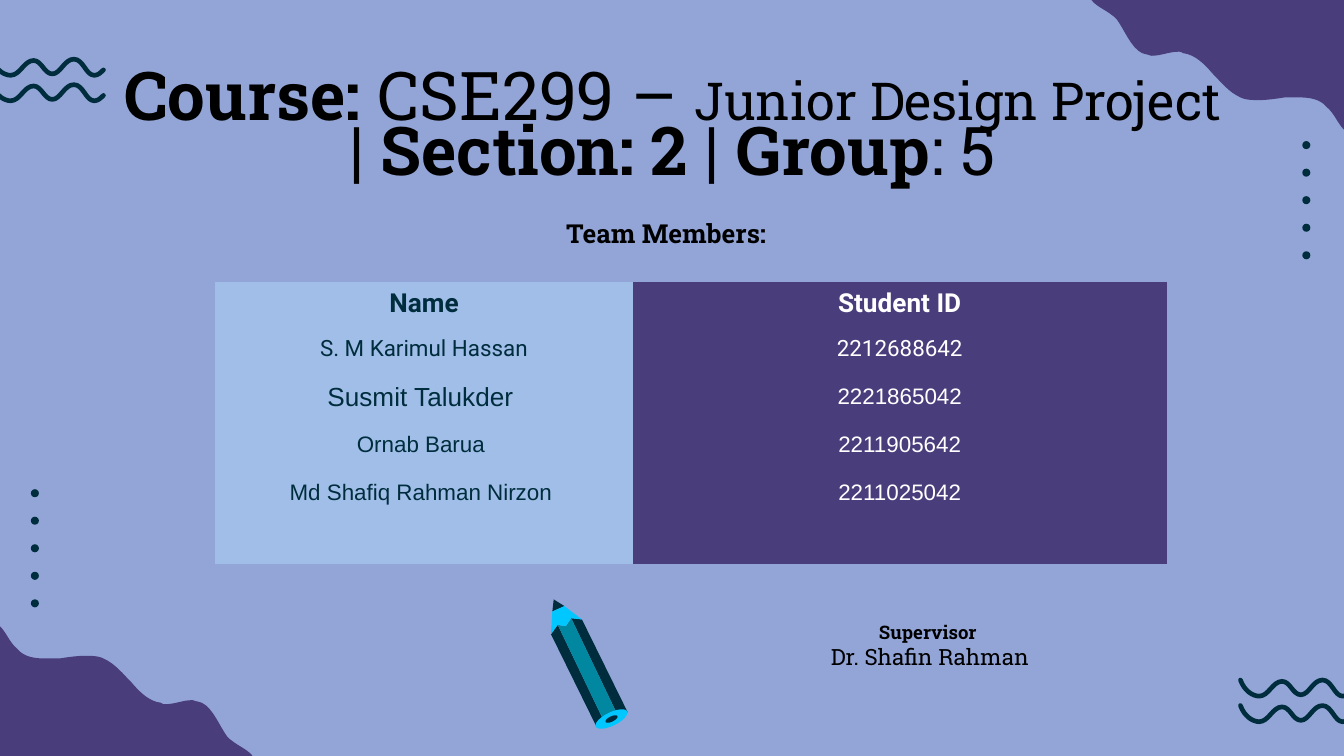
from lxml.etree import SubElement
from pptx import Presentation
from pptx.dml.color import RGBColor
from pptx.enum.shapes import MSO_SHAPE
from pptx.enum.text import MSO_ANCHOR, MSO_AUTO_SIZE, PP_ALIGN
from pptx.oxml.ns import qn
from pptx.util import Inches, Pt

COLORS = {"back": "93A5D6", "plum": "4A3D7C", "navy": "002D3D", "sky": "A0BEE7",
          "teal": "0187A0", "cyan": "00C7FF", "black": "000000", "white": "FFFFFF"}
SLAB = "Roboto Slab"
WIDE = 10
HIGH = WIDE * 9 / 16


def write(para, text, size=12, font=SLAB, color="black", bold=False):
    para.alignment = PP_ALIGN.CENTER
    run = para.add_run()
    run.text = text
    run.font.size = Pt(size)
    run.font.name = font
    run.font.bold = bold
    run.font.color.rgb = RGBColor.from_string(COLORS[color])


def draw(points, color, curve=False, stroke=None):
    if curve:
        dense = [points[0]]
        for i in range(0, len(points) - 3, 3):
            a, b, c, d = points[i:i + 4]
            for n in range(1, 9):
                t = n / 8
                u = 1 - t
                dense.append(tuple(u**3 * a[k] + 3 * u * u * t * b[k] + 3 * u * t * t * c[k]
                                   + t**3 * d[k] for k in (0, 1)))
        points = dense + points[len(points) - (len(points) - 1) % 3:]
    spots = [(Inches(x), Inches(y)) for x, y in points]
    path = slide.shapes.build_freeform(*spots[0])
    path.add_line_segments(spots[1:], close=stroke is None)
    shape = path.convert_to_shape()
    shape.shadow.inherit = False
    tone = RGBColor.from_string(COLORS[color])
    if stroke:
        shape.fill.background()
        shape.line.color.rgb = tone
        shape.line.width = Pt(stroke)
        shape._element.spPr.find(qn("a:ln")).set("cap", "rnd")
    else:
        shape.fill.solid()
        shape.fill.fore_color.rgb = tone
        shape.line.fill.background()


deck = Presentation()
deck.slide_width, deck.slide_height = Inches(WIDE), Inches(HIGH)
slide = deck.slides.add_slide(deck.slide_layouts[1])
slide.background.fill.solid()
slide.background.fill.fore_color.rgb = RGBColor.from_string(COLORS["back"])

blob = [(1.88, HIGH), (1.83, 5.56), (1.71, 5.53), (1.67, 5.45), (1.62, 5.37), (1.56, 5.23),
        (1.47, 5.22), (1.46, 5.22), (1.44, 5.21), (1.43, 5.21), (1.36, 5.21), (1.3, 5.24),
        (1.23, 5.24), (1.22, 5.24), (1.21, 5.24), (1.2, 5.23), (1.11, 5.22), (1.04, 5.15),
        (0.98, 5.08), (0.92, 5.02), (0.86, 4.94), (0.77, 4.9), (0.73, 4.88), (0.68, 4.88),
        (0.63, 4.88), (0.57, 4.88), (0.51, 4.89), (0.44, 4.9), (0.41, 4.9), (0.38, 4.9),
        (0.34, 4.9), (0.26, 4.9), (0.18, 4.89), (0.13, 4.83), (0.07, 4.78), (0.05, 4.71),
        (0, 4.66), (0, HIGH)]
draw(blob, "plum", curve=True)
draw([(WIDE - x, HIGH - y) for x, y in blob], "plum", curve=True)

wave = [(-0.06, 0.44), (-0.03, 0.52), (0.03, 0.56), (0.08, 0.56), (0.15, 0.56), (0.18, 0.45),
        (0.25, 0.45), (0.31, 0.45), (0.33, 0.55), (0.39, 0.55), (0.45, 0.55), (0.48, 0.44),
        (0.55, 0.44), (0.62, 0.44), (0.64, 0.56), (0.7, 0.56), (0.73, 0.56), (0.75, 0.54),
        (0.77, 0.52)]
for left, top in [(0, 0), (0, 0.19), (9.29, 4.62), (9.29, 4.81)]:
    draw([(x + left, y + top) for x, y in wave], "navy", curve=True, stroke=2.5)

pencil = [
    ("navy", [(4.15, 4.65), (4.1, 4.72), (4.44, 5.41), (4.5, 5.38)]),
    ("navy", [(4.25, 4.6), (4.6, 5.33), (4.67, 5.3), (4.33, 4.61)]),
    ("teal", [(4.25, 4.6), (4.21, 4.66), (4.15, 4.65), (4.5, 5.38), (4.6, 5.33)]),
    ("navy", [(4.12, 4.46), (4.11, 4.55), (4.2, 4.51)]),
    ("cyan", [(4.2, 4.51), (4.11, 4.55), (4.1, 4.72), (4.15, 4.65), (4.21, 4.66),
              (4.25, 4.6), (4.33, 4.61)]),
]
for color, points in pencil:
    draw(points, color)

ovals = [(x, y + i * 0.82 / 4, 0.06, 0.06, 0, "navy")
         for x, y in [(9.72, 1.08), (0.26, 3.67)] for i in range(5)]
ovals += [(4.55, 5.35, 0.26, 0.1, -26, "cyan"), (4.55, 5.35, 0.1, 0.04, -26, "navy")]
for x, y, w, h, turn, color in ovals:
    oval = slide.shapes.add_shape(MSO_SHAPE.OVAL, Inches(x - w / 2), Inches(y - h / 2),
                                  Inches(w), Inches(h))
    oval.rotation = turn
    oval.shadow.inherit = False
    oval.fill.solid()
    oval.fill.fore_color.rgb = RGBColor.from_string(COLORS[color])
    oval.line.fill.background()

title, body = slide.shapes.title, slide.placeholders[1]
mentor = slide.shapes.add_textbox(0, 0, 0, 0)
for box, area in [(title, (0.79, 0.49, 8.43, 0.63)), (body, (0.67, 1.34, 8.43, 0.43)),
                  (mentor, (4.63, 4.52, 4.58, 0.5))]:
    box.left, box.top, box.width, box.height = map(Inches, area)
    frame = box.text_frame
    frame.word_wrap = True
    frame.auto_size = MSO_AUTO_SIZE.NONE
    frame.vertical_anchor = MSO_ANCHOR.TOP
    frame.margin_left = frame.margin_right = Inches(0.1)
    frame.margin_top = frame.margin_bottom = Inches(0.1)

head = title.text_frame.paragraphs[0]
head.line_spacing = Pt(29.4)
for text, size, bold in [("Course:", 36, True), (" CSE299 – ", 36, False),
                         ("Junior Design Project", 28, False), (" | ", 36, False),
                         ("Section: 2", 36, True), (" | ", 36, False),
                         ("Group", 36, True), (": 5", 36, False)]:
    write(head, text, size=size, bold=bold)

team = body.text_frame.paragraphs[0]
props = team._p.get_or_add_pPr()
props.set("marL", str(Inches(0.19)))
props.set("indent", "0")
SubElement(props, qn("a:buNone"))
team.line_spacing = Pt(29.4)
team.space_before = Pt(0)
write(team, "Team Members: ", size=14, bold=True)

guide = mentor.text_frame.paragraphs[0]
write(guide, "Supervisor ", size=10, bold=True)
guide.add_line_break()
SubElement(guide._p.find(qn("a:br")), qn("a:rPr"), {"sz": "1000"})
write(guide, "Dr. Shafin Rahman")

rows = [("Name", "Student ID", 14, 14, "Roboto"),
        ("S. M Karimul Hassan", "2212688642", 12, 12, "Roboto"),
        ("Susmit Talukder ", "2221865042", 14, 12, "Arial"),
        ("Ornab Barua ", "2211905642", 12, 12, "Arial"),
        ("Md Shafiq Rahman Nirzon ", "2211025042", 12, 12, "Arial"),
        ("", "", 12, 12, "Arial")]
table = slide.shapes.add_table(len(rows), 2, Inches(1.6), Inches(2.1),
                               Inches(7.08), Inches(2.1)).table
table.columns[0].width, table.columns[1].width = Inches(3.11), Inches(3.97)
for r, (name, code, big, small, font) in enumerate(rows):
    table.rows[r].height = Inches((2.1 - 0.32) / 5 if r else 0.32)
    for c, (text, size, fill, ink) in enumerate([(name, big, "sky", "navy"),
                                                (code, small, "plum", "white")]):
        cell = table.cell(r, c)
        cell.fill.solid()
        cell.fill.fore_color.rgb = RGBColor.from_string(COLORS[fill])
        cell.vertical_anchor = MSO_ANCHOR.MIDDLE
        cell.margin_top = cell.margin_bottom = 0
        para = cell.text_frame.paragraphs[0]
        if text:
            write(para, text, size=size, font=font, color=ink, bold=r == 0)
        else:
            para.font.size = Pt(size)
        borders = cell._tc.get_or_add_tcPr()
        for i, side in enumerate(("a:lnL", "a:lnR", "a:lnT", "a:lnB")):
            edge = borders.makeelement(qn(side), {"w": "0"})
            SubElement(edge, qn("a:noFill"))
            borders.insert(i, edge)

deck.save("out.pptx")
